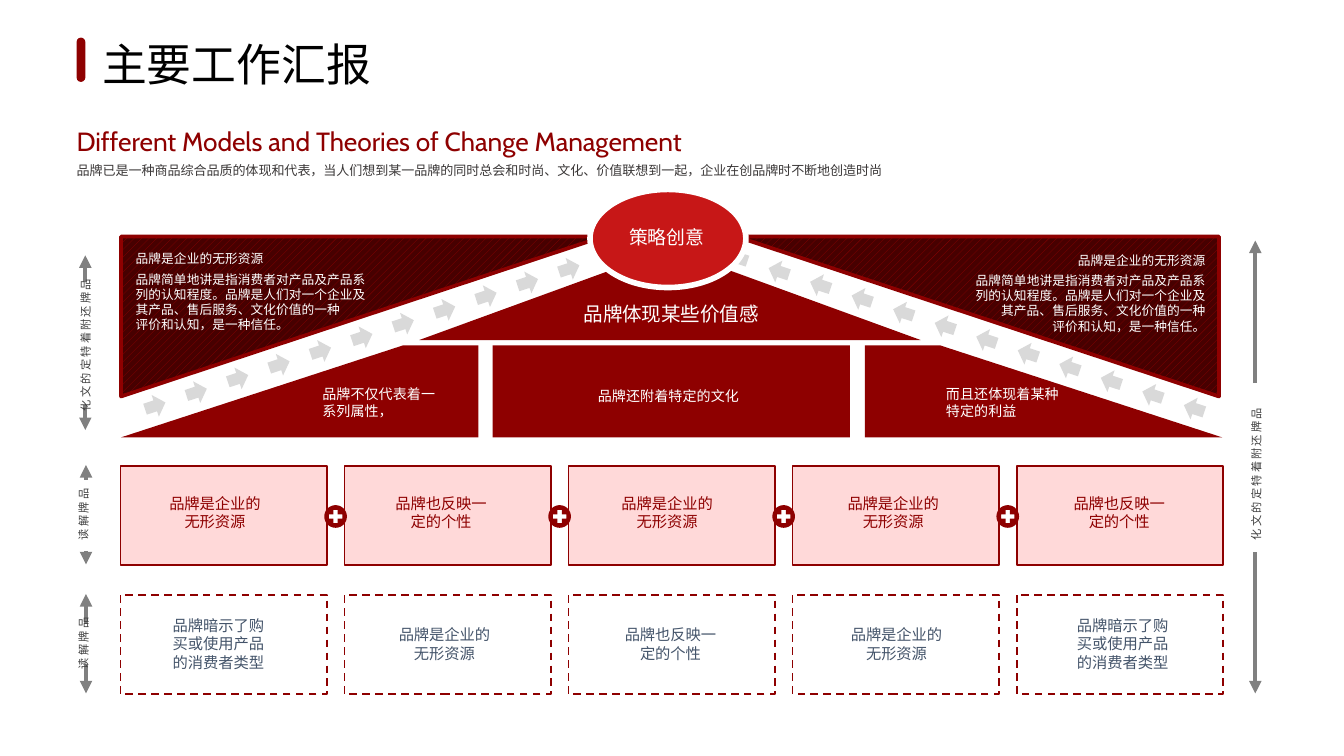
from math import cos, pi, sin

from lxml.etree import SubElement
from pptx import Presentation
from pptx.dml.color import RGBColor
from pptx.enum.dml import MSO_LINE, MSO_PATTERN
from pptx.enum.shapes import MSO_CONNECTOR, MSO_SHAPE
from pptx.enum.text import MSO_ANCHOR, MSO_AUTO_SIZE, PP_ALIGN
from pptx.oxml.ns import qn
from pptx.util import Emu, Inches, Pt

COLUMNS, ROWS = 100, 56.25
CELL = Inches(0.1)
COLORS = {
    "dark_red": "8E0000", "deep_red": "470000", "bright_red": "C71717",
    "pink": "FFB5B5", "white": "FFFFFF", "black": "000000", "ink": "3B3838",
    "slate": "44546A", "axis": "808080", "axis_text": "404040", "arrow": "D9D9D9",
}
INTANGIBLE = "品牌是企业的无形资源"
PERSONAL = "品牌也反映一定的个性"
BUYERS = "品牌暗示了购买或使用产品的消费者类型"
CULTURE = "品牌还附着特定的文化"
READING = "品牌解读"
DETAIL = ("品牌简单地讲是指消费者对产品及产品系列的认知程度。品牌是人们对一个企业及其产品、"
          "售后服务、文化价值的一种\n评价和认知，是一种信任。")
CARD_LEFT, CARD_STEP, CARD_WIDTH, CARD_HEIGHT = 8.96, 16.67, 15.35, 7.4


def grid(*cells):
    return [Emu(round(cell * CELL)) for cell in cells]


def rgb(name):
    return RGBColor.from_string(COLORS[name])


def write(box, text, size, color, font="Roboto", align=PP_ALIGN.LEFT,
          anchor=MSO_ANCHOR.TOP, insets=(1, 0.5), wrap=True, spacing=None, vertical=False):
    frame = box.text_frame
    frame.text = text
    frame.word_wrap = wrap
    frame.auto_size = MSO_AUTO_SIZE.SHAPE_TO_FIT_TEXT
    frame.vertical_anchor = anchor
    frame.margin_left = frame.margin_right = grid(insets[0])[0]
    frame.margin_top = frame.margin_bottom = grid(insets[1])[0]
    if vertical:
        frame._txBody.bodyPr.set("vert", "eaVert")
    for paragraph in frame.paragraphs:
        paragraph.alignment = align
        paragraph.line_spacing = spacing
        for run in paragraph.runs:
            run.font.size = Pt(size)
            run.font.name = font
            run.font.color.rgb = rgb(color)


def label(slide, place, text, size, color, rotation=0, **style):
    box = slide.shapes.add_textbox(*grid(*place))
    box.rotation = rotation
    write(box, text, size, color, **style)


def centred(slide, place, text, size, color, **style):
    label(slide, place, text, size, color, align=PP_ALIGN.CENTER,
          anchor=MSO_ANCHOR.MIDDLE, **style)


def paint(shape, fill, line=None, width=1, dash=None, opacity=None):
    shape.shadow.inherit = False
    shape.fill.solid()
    shape.fill.fore_color.rgb = rgb(fill)
    if opacity:
        tint = shape.fill._xPr.find(qn("a:solidFill"))[0]
        SubElement(tint, qn("a:alpha")).set("val", str(opacity * 1000))
    if line:
        shape.line.color.rgb = rgb(line)
        shape.line.width = Pt(width)
        shape.line.dash_style = dash
    else:
        shape.line.fill.background()


def block(shapes, kind, place, fill, rotation=0, **style):
    shape = shapes.add_shape(kind, *grid(*place))
    shape.rotation = rotation
    paint(shape, fill, **style)
    return shape


def outline(slide, fill, *contours):
    builder = slide.shapes.build_freeform(*grid(*contours[0][0]), scale=1.0)
    for number, contour in enumerate(contours):
        if number:
            builder.move_to(*grid(*contour[0]))
        builder.add_line_segments([grid(*point) for point in contour[1:]], close=True)
    paint(builder.convert_to_shape(), fill)


def axis_arrow(slide, x, start, tip):
    arrow = slide.shapes.add_connector(MSO_CONNECTOR.STRAIGHT, *grid(x, start, x, tip))
    arrow.line.color.rgb = rgb("axis")
    arrow.line.width = Pt(2.25)
    SubElement(arrow.line._get_or_add_ln(), qn("a:tailEnd")).set("type", "triangle")
    SubElement(arrow._element.spPr, qn("a:effectLst"))


def axis(slide, x, top, upper, lower, bottom, place, text):
    axis_arrow(slide, x, upper, top)
    axis_arrow(slide, x, lower, bottom)
    centred(slide, place, text, 6, "axis_text", rotation=270, insets=(0, 0), vertical=True)


def card_row(slide, top, fill, **style):
    for column in range(5):
        place = (CARD_LEFT + column * CARD_STEP, top, CARD_WIDTH, CARD_HEIGHT)
        block(slide.shapes, MSO_SHAPE.RECTANGLE, place, fill, line="dark_red", **style)


def card_texts(slide, left, middle, texts, color):
    for column, text in enumerate(texts):
        height = 5.2 if text == BUYERS else 3.8
        place = (left + column * 16.82, middle - height / 2, 9, height)
        centred(slide, place, text, 8.2, color)


def plus_badge(slide, x, y, radius=0.84, reach=0.5, half=0.16):
    circle = [(x + radius * cos(step * pi / 30), y + radius * sin(step * pi / 30))
              for step in range(60)]
    corners = [(half, -reach), (half, -half), (reach, -half)]
    cross = []
    for _ in range(4):
        cross += [(x + dx, y + dy) for dx, dy in corners]
        corners = [(-dy, dx) for dx, dy in corners]
    outline(slide, "dark_red", circle, cross)


def roof_wing(slide, left, flipped):
    wing = block(slide.shapes, MSO_SHAPE.RIGHT_TRIANGLE, (left, 17.6, 35.9, 11.9),
                 "deep_red", rotation=180, line="dark_red", width=2)
    wing.fill.patterned()
    wing.fill.pattern = MSO_PATTERN.WIDE_UPWARD_DIAGONAL
    wing.fill.fore_color.rgb = rgb("dark_red")
    wing.fill.back_color.rgb = rgb("deep_red")
    if flipped:
        wing._element.spPr.xfrm.set("flipH", "1")


def climbing_arrows(slide, left, top, step, rotation):
    climb = slide.shapes.add_group_shape()
    for number in range(12):
        place = (left + number * step, top - number * 1.02, 1.7, 1.6)
        block(climb.shapes, MSO_SHAPE.UP_ARROW, place, "arrow", rotation=rotation)


def heading(slide):
    title = slide.shapes.title
    title.left, title.top, title.width, title.height = grid(6.6, 2.2, 22.2, 5)
    write(title, "主要工作汇报", 24, "black", font="Cabin", wrap=False)
    marker = block(slide.shapes, MSO_SHAPE.ROUNDED_RECTANGLE, (5.7, 2.8, 0.65, 3.3), "dark_red")
    marker.adjustments[0] = 0.5
    label(slide, (5.5, 9.1, 70.1, 2.8), "Different Models and Theories of Change Management",
          14.1, "dark_red", font="Cabin", insets=(0.2, 0.2))
    label(slide, (5.5, 11.3, 65.5, 2),
          "品牌已是一种商品综合品质的体现和代表，当人们想到某一品牌的同时总会和时尚、文化、"
          "价值联想到一起，企业在创品牌时不断地创造时尚",
          7, "ink", font="Cabin", insets=(0.2, 0.2), spacing=1.5)


def house(slide):
    left_room = [(9, 32.55), (30, 25.7), (35.6, 25.7), (35.6, 32.55)]
    outline(slide, "dark_red", left_room)
    block(slide.shapes, MSO_SHAPE.RECTANGLE, (36.65, 25.7, 26.6, 6.85), "dark_red")
    outline(slide, "dark_red", [(COLUMNS - x - 0.05, y) for x, y in left_room])
    for place, text in (((23, 28.2, 10.4, 3.5), "品牌不仅代表着一系列属性，"),
                        ((43.5, 28.3, 12.9, 2.3), CULTURE),
                        ((69.4, 28.2, 10.4, 3.5), "而且还体现着某种特定的利益")):
        label(slide, place, text, 7.5, "white", anchor=MSO_ANCHOR.MIDDLE)
    block(slide.shapes, MSO_SHAPE.ISOSCELES_TRIANGLE, (31.2, 18.5, 37.3, 6.8), "dark_red")
    centred(slide, (41.3, 21.9, 17.3, 2.8), "品牌体现某些价值感", 10.5, "white")


def roof(slide):
    roof_wing(slide, 54.8, False)
    roof_wing(slide, 9, True)
    for caption_left, detail_left, top, align in ((9.9, 9.7, 18.5, PP_ALIGN.LEFT),
                                                  (80, 71.5, 18.6, PP_ALIGN.RIGHT)):
        label(slide, (caption_left, top, 11.7, 1.6), INTANGIBLE, 6.8, "white", insets=(0.2, 0.2))
        label(slide, (detail_left, top + 1.3, 18.6, 5.4), DETAIL, 6.8, "white",
              align=align, insets=(0.4, 0.4))
    climbing_arrows(slide, 10.7, 29.4, 3.08, 71.7)
    climbing_arrows(slide, 88, 29.6, -3.09, 288.3)
    block(slide.shapes, MSO_SHAPE.OVAL, (43.9, 14.1, 11.6, 7.3), "bright_red",
          line="white", width=3)
    centred(slide, (44.2, 16.3, 10.8, 2.7), "策略创意", 10.1, "white")


def main():
    deck = Presentation()
    deck.slide_width, deck.slide_height = grid(COLUMNS, ROWS)
    slide = deck.slides.add_slide(deck.slide_layouts[5])
    heading(slide)
    card_row(slide, 44.25, "white", dash=MSO_LINE.DASH)
    card_row(slide, 34.65, "pink", opacity=50)
    axis(slide, 6.4, 44.2, 46.4, 49.4, 51.6, (4.3, 47.4, 4, 1), READING)
    axis(slide, 6.4, 34.6, 35.7, 41, 42, (4.3, 37.8, 4, 1), READING)
    axis(slide, 6.35, 19, 21, 30.1, 32, (1.4, 25.2, 10.1, 1), CULTURE)
    axis(slide, 93.4, 17.9, 28.5, 41.1, 51.6, (88.5, 34.8, 10.1, 1), CULTURE)
    house(slide)
    card_texts(slide, 11.5, 38.1, [INTANGIBLE, PERSONAL, INTANGIBLE, INTANGIBLE, PERSONAL],
               "dark_red")
    card_texts(slide, 11.75, 47.9, [BUYERS, INTANGIBLE, PERSONAL, INTANGIBLE, BUYERS], "slate")
    for gap in range(4):
        plus_badge(slide, 24.97 + gap * CARD_STEP, 38.43)
    roof(slide)
    deck.save("out.pptx")


if __name__ == "__main__":
    main()
